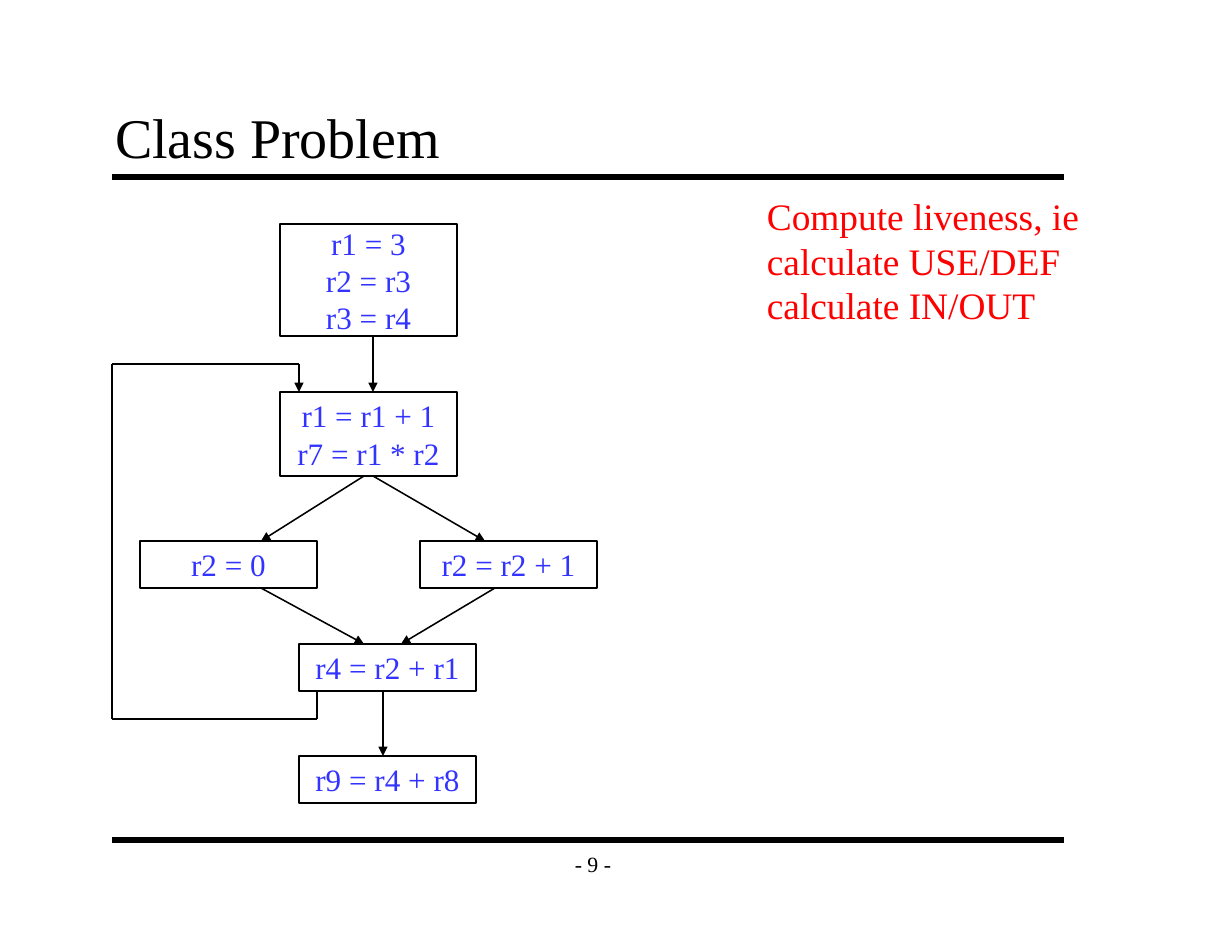
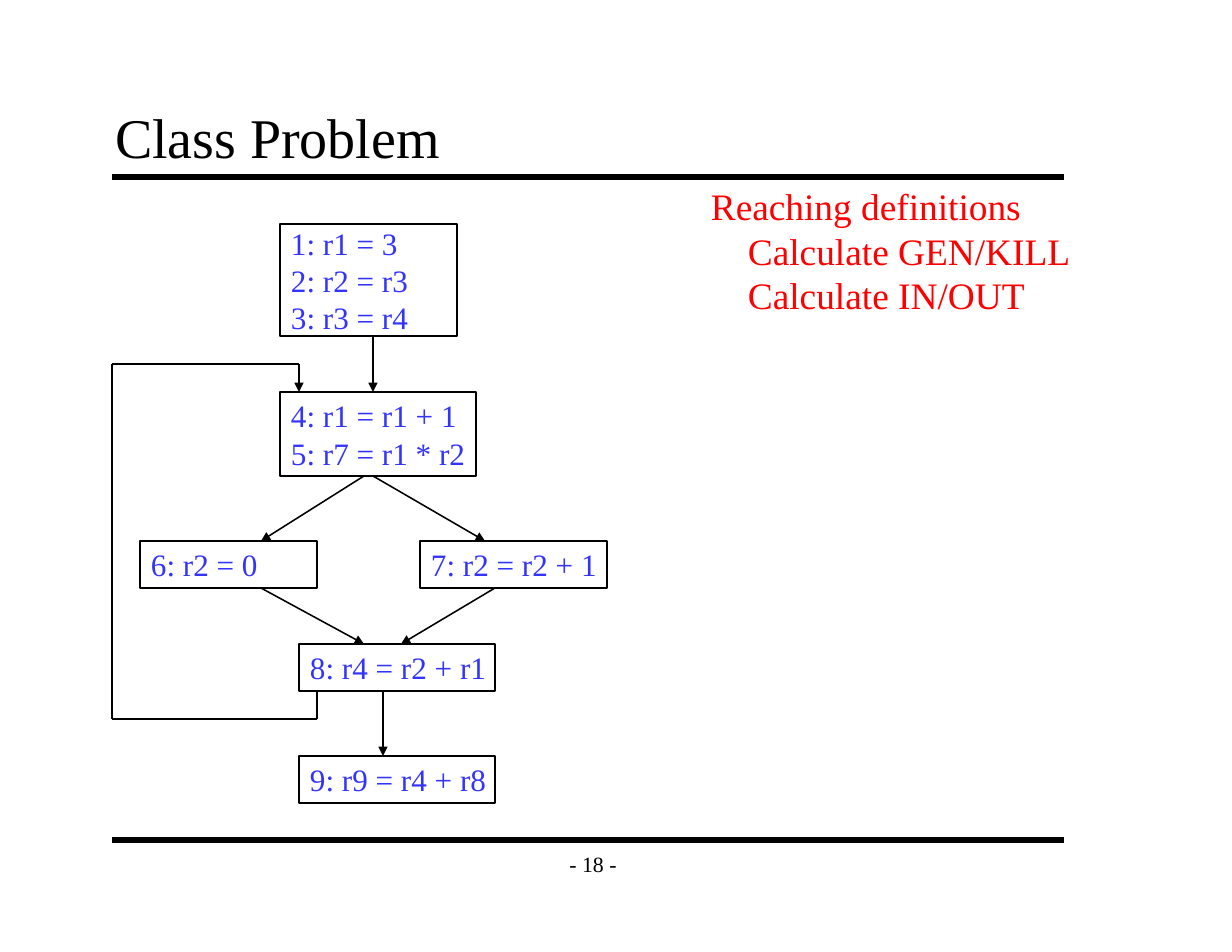
from lxml import etree
from pptx import Presentation
from pptx.dml.color import RGBColor
from pptx.enum.shapes import MSO_CONNECTOR, MSO_SHAPE
from pptx.enum.text import MSO_ANCHOR, MSO_AUTO_SIZE, PP_ALIGN
from pptx.oxml.ns import qn
from pptx.util import Pt

STRAIGHT = MSO_CONNECTOR.STRAIGHT
RECTANGLE = MSO_SHAPE.RECTANGLE
TOP, MIDDLE, BOTTOM = MSO_ANCHOR.TOP, MSO_ANCHOR.MIDDLE, MSO_ANCHOR.BOTTOM
LEFT, CENTER = PP_ALIGN.LEFT, PP_ALIGN.CENTER
NO_AUTOFIT = MSO_AUTO_SIZE.NONE

PX = 8164  # EMU in one pixel, 112 pixels to the inch
FONT = "Times New Roman"
BLACK, BLUE, RED = "000000", "3333FF", "FF0000"

# Flow graph shared by both slides: left, top and height of each block
BLOCKS = [(280, 224, 112), (280, 392, 84), (140, 541, 47),
          (420, 541, 47), (299, 644, 47), (299, 756, 47)]

# Start, end and whether the edge has an arrowhead
EDGES = [
    (373, 336, 373, 392, True),
    (364, 476, 261, 541, True),
    (373, 476, 485, 541, True),
    (261, 588, 364, 644, True),
    (495, 588, 401, 644, True),
    (383, 691, 383, 756, True),
    # Back edge of the loop
    (317, 691, 317, 719, False),
    (317, 719, 112, 719, False),
    (112, 719, 112, 364, False),
    (112, 364, 299, 364, False),
    (299, 364, 299, 392, True),
]

# Task lines are pairs of text and indent
SLIDES = [
    {
        "number": 9,
        "alignment": CENTER,
        "widths": [177, 177, 177, 177, 177, 177],
        "code": [["r1 = 3", "r2 = r3", "r3 = r4"],
                 ["r1 = r1 + 1", "r7 = r1 * r2"],
                 ["r2 = 0"], ["r2 = r2 + 1"],
                 ["r4 = r2 + r1"], ["r9 = r4 + r8"]],
        "task_box": (756, 187, 334, 146),
        "task": ["Compute liveness, ie", "calculate USE/DEF", "calculate IN/OUT"],
        "task_indent": 0,
    },
    {
        "number": 18,
        "alignment": LEFT,
        "widths": [177, 196, 177, 187, 196, 196],
        "code": [["1: r1 = 3", "2: r2 = r3", "3: r3 = r4"],
                 ["4: r1 = r1 + 1", "5: r7 = r1 * r2"],
                 ["6: r2 = 0"], ["7: r2 = r2 + 1"],
                 ["8: r4 = r2 + r1"], ["9: r9 = r4 + r8"]],
        "task_box": (700, 177, 382, 146),
        "task": ["Reaching definitions", "Calculate GEN/KILL", "Calculate IN/OUT"],
        "task_indent": 37,
    },
]


def write_text(shape, lines, size, color, alignment, anchor,
               margins=(11, 6), wrap=False, indent=0):
    """Write one paragraph a line; all lines after the first are indented."""
    frame = shape.text_frame
    frame.auto_size = NO_AUTOFIT
    frame.word_wrap = wrap
    frame.vertical_anchor = anchor
    frame.margin_left = frame.margin_right = margins[0] * PX
    frame.margin_top = frame.margin_bottom = margins[1] * PX
    for index, line in enumerate(lines):
        paragraph = frame.add_paragraph() if index else frame.paragraphs[0]
        paragraph.alignment = alignment
        if index and indent:
            properties = paragraph._p.get_or_add_pPr()
            properties.set("marL", str(indent * PX))
            properties.set("indent", "0")
        run = paragraph.add_run()
        run.text = line
        run.font.name = FONT
        run.font.size = Pt(size)
        run.font.color.rgb = RGBColor.from_string(color)


def add_line(slide, x1, y1, x2, y2, width=1, arrow=False):
    connector = slide.shapes.add_connector(STRAIGHT, x1 * PX, y1 * PX, x2 * PX, y2 * PX)
    connector.line.color.rgb = RGBColor.from_string(BLACK)
    connector.line.width = Pt(width)
    if arrow:
        etree.SubElement(connector.line._get_or_add_ln(), qn("a:tailEnd"), type="triangle")
    etree.SubElement(connector._element.spPr, qn("a:effectLst"))


presentation = Presentation()
presentation.slide_width = 1232 * PX
presentation.slide_height = 952 * PX
title_only = presentation.slide_layouts[5]

for content in SLIDES:
    slide = presentation.slides.add_slide(title_only)

    # Rules above and below the body
    for y in (177, 840):
        add_line(slide, 112, y, 1064, y, width=4)

    # Page number
    footer = slide.shapes.add_textbox(551 * PX, 840 * PX, 84 * PX, 47 * PX)
    write_text(footer, [f"- {content['number']} -"], 14, BLACK, CENTER, MIDDLE, (12, 7))

    # Title
    title = slide.shapes.title
    title.left, title.top, title.width, title.height = 103 * PX, 102 * PX, 952 * PX, 75 * PX
    write_text(title, ["Class Problem"], 36, BLACK, LEFT, BOTTOM, (12, 7), wrap=True)

    # Basic blocks
    for (left, top, height), width, code in zip(BLOCKS, content["widths"], content["code"]):
        block = slide.shapes.add_shape(RECTANGLE, left * PX, top * PX, width * PX, height * PX)
        block.shadow.inherit = False
        block.fill.background()
        block.line.color.rgb = RGBColor.from_string(BLACK)
        block.line.width = Pt(1)
        write_text(block, code, 20, BLUE, content["alignment"], MIDDLE)

    # Control flow edges
    for x1, y1, x2, y2, arrow in EDGES:
        add_line(slide, x1, y1, x2, y2, arrow=arrow)

    # Task
    task = slide.shapes.add_textbox(*[length * PX for length in content["task_box"]])
    write_text(task, content["task"], 24, RED, LEFT, TOP, indent=content["task_indent"])

presentation.save("out.pptx")
